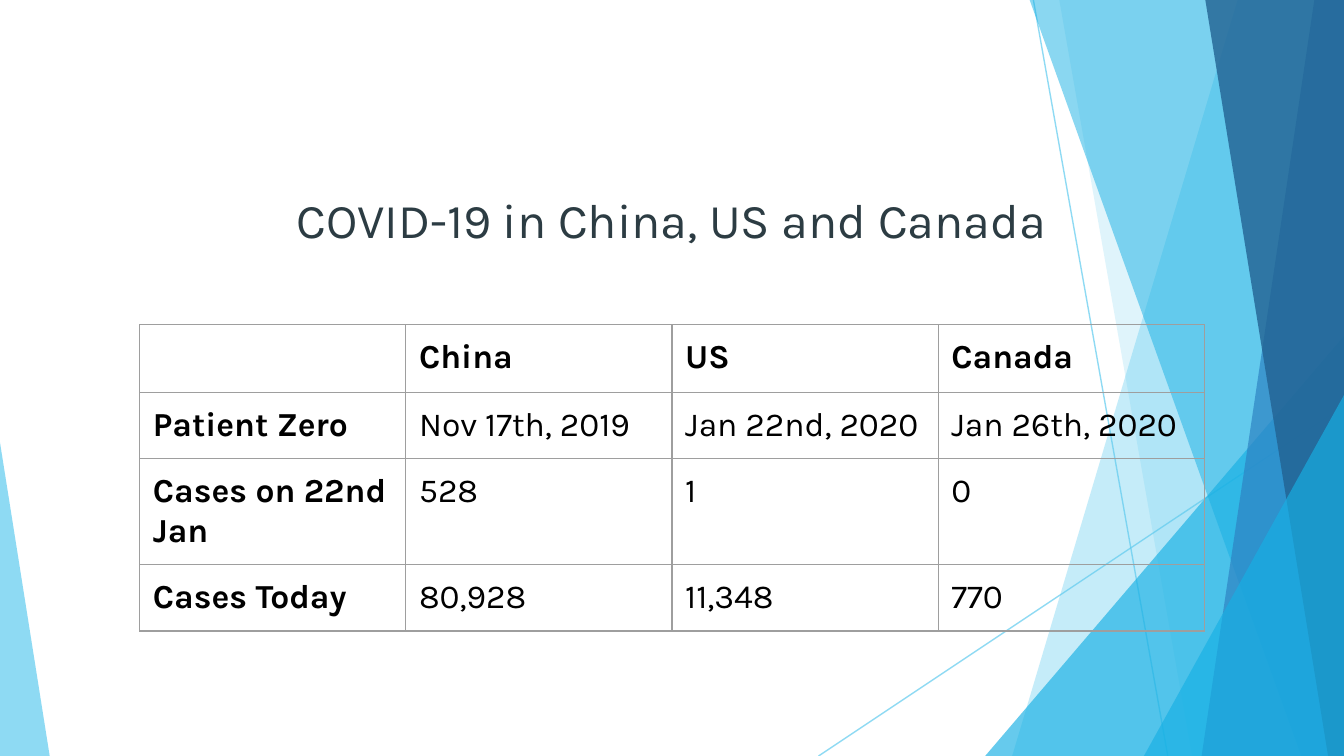
from lxml.etree import SubElement
from pptx import Presentation
from pptx.dml.color import RGBColor
from pptx.enum.shapes import MSO_CONNECTOR, MSO_SHAPE
from pptx.enum.text import MSO_ANCHOR, MSO_AUTO_SIZE, PP_ALIGN
from pptx.oxml import parse_xml
from pptx.oxml.ns import nsdecls, qn
from pptx.util import Cm, Pt

WIDTH, HEIGHT = 25.4, 14.29
COLORS = {"sky": "5FCBEF", "cyan": "17B0E4", "blue": "2E83C3", "navy": "226292",
          "title": "2C3C43", "text": "000000", "border": "9E9E9E"}

# Panes reach the right edge: top x, bottom x, colour, opacity in percent
BACK_PANES = [(23.39, 19.13, "sky", 36), (20.02, 22.53, "sky", 20)]
FRONT_PANES = [(19.46, 24.59, "cyan", 50), (24.84, 22.71, "blue", 70),
               (22.78, 25.1, "navy", 80)]
RAYS = [(19.53, 0, 22.07, HEIGHT), (WIDTH, 7.67, 15.47, HEIGHT)]

ROWS = [["", "China", "US", "Canada"],
        ["Patient Zero", "Nov 17th, 2019", "Jan 22nd, 2020", "Jan 26th, 2020"],
        ["Cases on 22nd Jan", "528", "1", "0"],
        ["Cases Today", "80,928", "11,348", "770"]]
ROW_HEIGHTS = [1.26, 1.25, 2, 1.26]
COLUMN_WIDTH = 5.03


def set_values(target, values):
    for name, value in values.items():
        setattr(target, name, value)


def set_opacity(fill_owner, percent):
    color = next(fill_owner.iter(qn("a:srgbClr")))
    SubElement(color, qn("a:alpha")).set("val", str(percent * 1000))


def add_ray(page, start_x, start_y, end_x, end_y):
    ray = page.shapes.add_connector(MSO_CONNECTOR.STRAIGHT, Cm(start_x), Cm(start_y),
                                    Cm(end_x), Cm(end_y))
    ray.line.width = Pt(0.75)
    ray.line.color.rgb = RGBColor.from_string(COLORS["sky"])
    properties = ray._element.spPr
    set_opacity(properties, 70)
    SubElement(properties, qn("a:effectLst"))


def paint(shape, color, opacity):
    shape.shadow.inherit = False
    shape.line.fill.background()
    shape.fill.solid()
    shape.fill.fore_color.rgb = RGBColor.from_string(COLORS[color])
    set_opacity(shape._element.spPr, opacity)


def add_pane(page, top_x, bottom_x, color, opacity):
    builder = page.shapes.build_freeform(Cm(top_x), 0)
    corners = [(WIDTH, 0), (WIDTH, HEIGHT), (bottom_x, HEIGHT)]
    builder.add_line_segments([(Cm(x), Cm(y)) for x, y in corners], close=True)
    paint(builder.convert_to_shape(), color, opacity)


def add_corner(page, left, top, width, apex, color, opacity):
    corner = page.shapes.add_shape(MSO_SHAPE.ISOSCELES_TRIANGLE, Cm(left), Cm(top),
                                   Cm(width), Cm(HEIGHT - top))
    corner.adjustments[0] = apex
    paint(corner, color, opacity)


def add_text(para, text, size, color, bold=False):
    span = para.add_run()
    span.text = text
    set_values(span.font, {"name": "Karla", "size": Pt(size), "bold": bold})
    span.font.color.rgb = RGBColor.from_string(COLORS[color])


def place_title(page, text):
    box = page.shapes.title
    page.shapes._spTree.append(box._element)  # bring in front of the panes
    set_values(box, {"left": Cm(0), "top": Cm(3.35), "width": Cm(WIDTH), "height": Cm(1.6)})
    set_values(box.text_frame, {"word_wrap": True, "auto_size": MSO_AUTO_SIZE.NONE,
                                "vertical_anchor": MSO_ANCHOR.MIDDLE})
    para = box.text_frame.paragraphs[0]
    para.alignment = PP_ALIGN.CENTER
    add_text(para, text, 26, "title")


def add_borders(cell):
    properties = cell._tc.get_or_add_tcPr()
    for index, side in enumerate("LRTB"):
        properties.insert(index, parse_xml(
            f'<a:ln{side} {nsdecls("a")} w="{Pt(0.75)}"><a:solidFill>'
            f'<a:srgbClr val="{COLORS["border"]}"/></a:solidFill></a:ln{side}>'))


def add_case_table(page):
    table = page.shapes.add_table(len(ROWS), len(ROWS[0]), Cm(2.64), Cm(6.14),
                                  Cm(COLUMN_WIDTH * len(ROWS[0])),
                                  Cm(sum(ROW_HEIGHTS))).table
    set_values(table, {"first_row": False, "horz_banding": False})
    for row, height in zip(table.rows, ROW_HEIGHTS):
        row.height = Cm(height)
    margins = {f"margin_{side}": Cm(0.25) for side in ("left", "right", "top", "bottom")}
    for row_index, texts in enumerate(ROWS):
        for column_index, text in enumerate(texts):
            cell = table.cell(row_index, column_index)
            set_values(cell, margins)
            cell.fill.background()
            add_borders(cell)
            if text:
                is_heading = row_index == 0 or column_index == 0
                add_text(cell.text_frame.paragraphs[0], text, 18, "text", is_heading)


def main():
    deck = Presentation()
    set_values(deck, {"slide_width": Cm(WIDTH), "slide_height": Cm(HEIGHT)})
    page = deck.slides.add_slide(deck.slide_layouts[5])

    # Faceted background
    for ray in RAYS:
        add_ray(page, *ray)
    for pane in BACK_PANES:
        add_pane(page, *pane)
    add_corner(page, 18.62, 6.35, 6.78, 1, "cyan", 66)
    for pane in FRONT_PANES:
        add_pane(page, *pane)
    add_corner(page, 21.62, 7.47, 3.78, 1, "cyan", 66)
    add_corner(page, 0, 8.36, 0.94, 0, "sky", 70)

    # Content
    place_title(page, "COVID-19 in China, US and Canada")
    add_case_table(page)
    deck.save("out.pptx")


if __name__ == "__main__":
    main()
